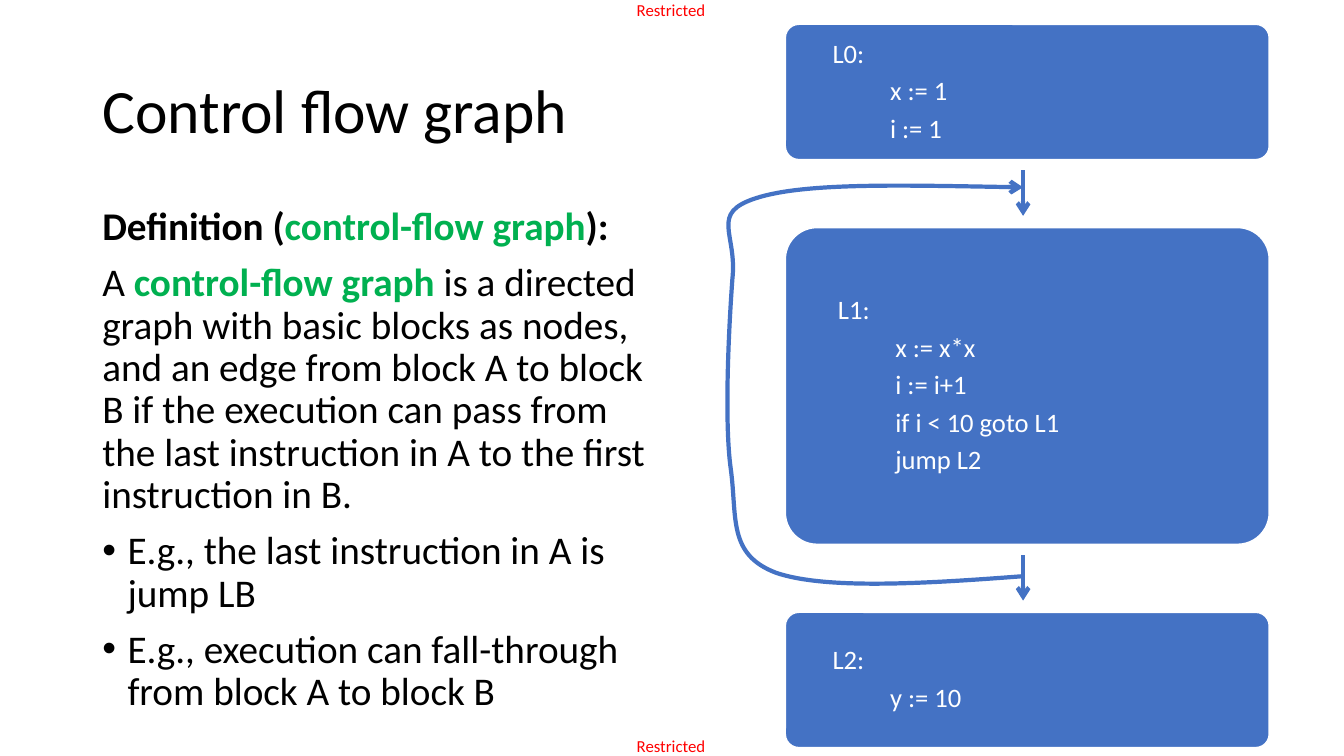
from lxml import etree
from pptx import Presentation
from pptx.dml.color import RGBColor
from pptx.enum.shapes import MSO_CONNECTOR, MSO_SHAPE
from pptx.enum.text import MSO_ANCHOR, PP_ALIGN
from pptx.oxml.ns import qn
from pptx.util import Inches, Pt

COLORS = {"ink": "000000", "term": "00B050", "block": "4472C4",
          "paper": "FFFFFF", "mark": "FF0000"}
COLS, ROWS = 160, 90


class Slide:
    """Current slide, its style and its grid of 160 columns by 90 rows."""
    font = "Calibri"

    def __init__(self, prs):
        self.col, self.row = prs.slide_width / COLS, prs.slide_height / ROWS
        self.shapes = prs.slides.add_slide(prs.slide_layouts[6]).shapes

    def place(self, *lengths):
        """Turn alternating columns and rows into slide lengths."""
        return [round(v * (self.row if i % 2 else self.col))
                for i, v in enumerate(lengths)]

    def color(self, name):
        return RGBColor.from_string(COLORS[name])

    def fill_text(self, frame, paragraphs, size, color="ink", margins=(0.1, 0.05),
                  anchor=MSO_ANCHOR.TOP, before=0, after=0, spacing=0.9):
        """Each paragraph is (runs, left indent, bullet); a run is (text, color, bold)."""
        frame.word_wrap = True
        frame.vertical_anchor = anchor
        frame.margin_left = frame.margin_right = Inches(margins[0])
        frame.margin_top = frame.margin_bottom = Inches(margins[1])
        for i, (runs, indent, bullet) in enumerate(paragraphs):
            p = frame.add_paragraph() if i else frame.paragraphs[0]
            p.alignment, p.line_spacing = PP_ALIGN.LEFT, spacing
            p.space_before, p.space_after = Pt(before), Pt(after)
            props = p._p.get_or_add_pPr()
            props.set("marL", str(Inches(indent)))
            props.set("indent", str(-Inches(indent) if bullet else 0))
            if bullet:
                etree.SubElement(props, qn("a:buFont")).set("typeface", "Arial")
                etree.SubElement(props, qn("a:buChar")).set("char", bullet)
            for text, tint, bold in runs:
                run = p.add_run()
                run.text = text
                run.font.name, run.font.size, run.font.bold = self.font, Pt(size), bold
                run.font.color.rgb = self.color(tint or color)

    def text(self, box, paragraphs, size, **style):
        shape = self.shapes.add_textbox(*self.place(*box))
        self.fill_text(shape.text_frame, paragraphs, size, **style)

    def block(self, box, label, code):
        shape = self.shapes.add_shape(MSO_SHAPE.ROUNDED_RECTANGLE, *self.place(*box))
        shape.adjustments[0] = 0.1
        shape.shadow.inherit = False
        shape.fill.solid()
        shape.fill.fore_color.rgb = self.color("block")
        shape.line.color.rgb = self.color("paper")
        shape.line.width = Pt(1)
        lines = [plain(label, 0.35)] + [plain(line, 0.92) for line in code]
        self.fill_text(shape.text_frame, lines, 19, color="paper", margins=(0.08, 0.08),
                       anchor=MSO_ANCHOR.MIDDLE, after=6.3)

    def arrow_line(self, shape):
        shape.line.color.rgb = self.color("block")
        shape.line.width = Pt(3)
        outline = shape._element.spPr.find(qn("a:ln"))
        etree.SubElement(outline, qn("a:tailEnd")).set("type", "arrow")

    def arrow(self, x, top, bottom):
        line = self.shapes.add_connector(MSO_CONNECTOR.STRAIGHT,
                                         *self.place(x, top, x, bottom))
        self.arrow_line(line)
        etree.SubElement(line._element.spPr, qn("a:effectLst"))

    def curved_arrow(self, points):
        """Smooth arrow: a start, then two controls and an end for each curve."""
        start, *rest = [tuple(self.place(*point)) for point in points]
        builder = self.shapes.build_freeform(*start, scale=1.0)
        builder.add_line_segments(rest, close=False)
        shape = builder.convert_to_shape()
        # Join every three straight segments into one Bezier curve
        path = shape._element.find(".//" + qn("a:path"))
        segments = path.findall(qn("a:lnTo"))
        for i in range(0, len(segments), 3):
            curve = etree.SubElement(path, qn("a:cubicBezTo"))
            for segment in segments[i:i + 3]:
                curve.append(segment[0])
                path.remove(segment)
        shape.fill.background()
        shape.shadow.inherit = False
        self.arrow_line(shape)


def plain(text, indent=0, bullet=None):
    return [(text, None, False)], indent, bullet


prs = Presentation()
prs.slide_width, prs.slide_height = Inches(13.333), Inches(7.5)
slide = Slide(prs)

# Classification marks at top and bottom
for top in (0, 87.6):
    slide.text((75.8, top, 9, 2.4), [plain("Restricted")], 12, color="mark",
               margins=(0, 0), spacing=1.0)

# Title and definition
slide.text((11, 4.8, 138, 17.4), [plain("Control flow graph")], 44,
           anchor=MSO_ANCHOR.MIDDLE)
slide.text((11, 24, 68, 66), [
    ([("Definition (", None, True), ("control-flow graph", "term", True),
      ("):", None, True)], 0, None),
    ([("A ", None, False), ("control-flow graph ", "term", True),
      ("is a directed graph with basic blocks as nodes, and an edge from block A "
       "to block B if the execution can pass from the last instruction in A to the "
       "first instruction in B.", None, False)], 0, None),
    plain("E.g., the last instruction in A is jump LB", 0.25, "•"),
    plain("E.g., execution can fall-through from block A to block B", 0.25, "•"),
], 28, before=10)

# Basic blocks, stacked with equal gaps and joined by arrows
BLOCKS = [
    ("L0:", 16.1, ["x := 1", "i := 1"]),
    ("L1:", 37.7, ["x := x*x", "i := i+1", "if i < 10 goto L1", "jump L2"]),
    ("L2:", 16.1, ["y := 10"]),
]
FIRST_TOP, GAP, FLOW_X = 2.9, 8.1, 121.8
top = FIRST_TOP
for label, height, code in BLOCKS:
    if top > FIRST_TOP:
        slide.arrow(FLOW_X, top - GAP + 1.3, top - 1.4)
    slide.block((93.5, top, 57.6, height), label, code)
    top += height + GAP

# Loop edge from the end of L1 back to its start
slide.curved_arrow([
    (FLOW_X, 68.6),
    (110, 69.5), (98.3, 70.2), (92.4, 68.2),
    (86.6, 66), (87.8, 61.6), (87, 55.8),
    (86.2, 50), (86.8, 38.6), (87.2, 33.2),
    (87.8, 27.8), (84.4, 25.4), (90, 23.6),
    (95.8, 21.7), (108.7, 22.1), (FLOW_X, 22.3),
])

prs.save("out.pptx")
